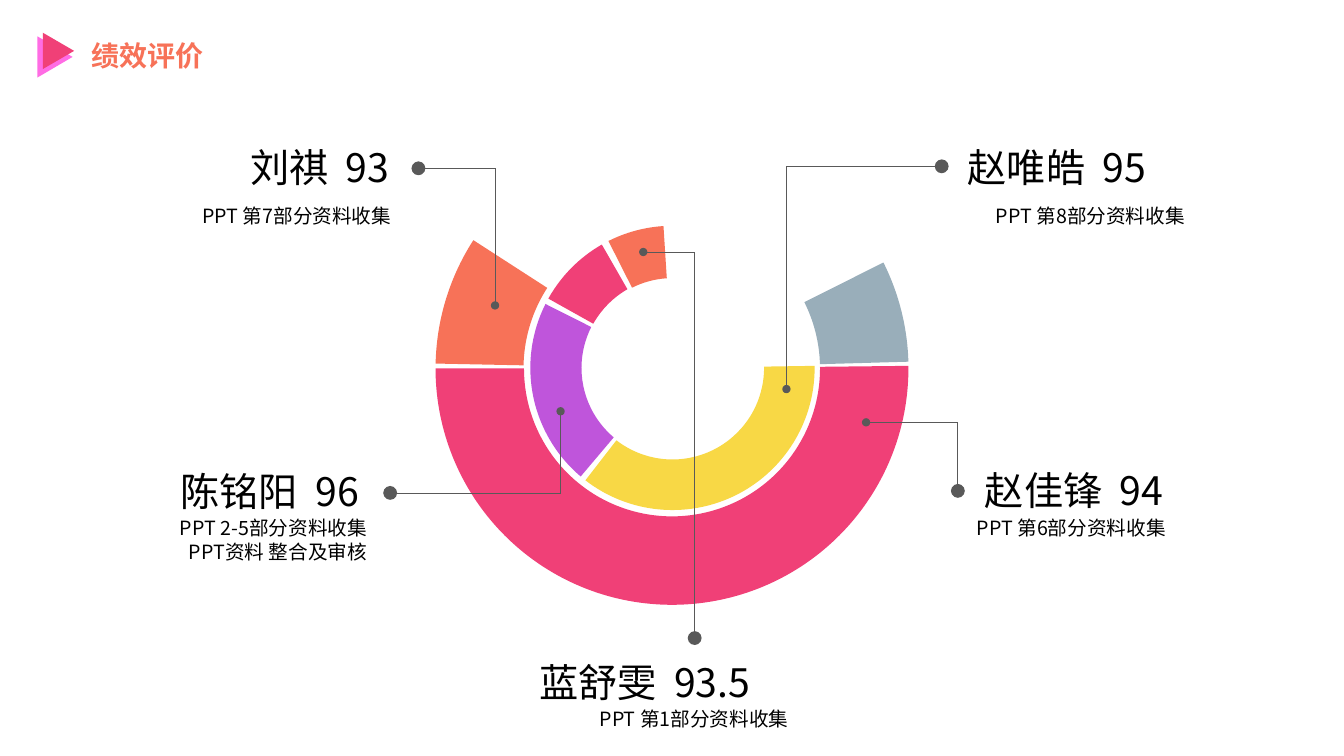
from lxml import etree
from pptx import Presentation
from pptx.dml.color import RGBColor
from pptx.enum.shapes import MSO_CONNECTOR, MSO_SHAPE
from pptx.enum.text import MSO_ANCHOR, MSO_AUTO_SIZE, PP_ALIGN
from pptx.oxml.ns import qn
from pptx.util import Inches, Pt

LEFT, CENTER, RIGHT = PP_ALIGN.LEFT, PP_ALIGN.CENTER, PP_ALIGN.RIGHT
TRIANGLE, BLOCK_ARC = MSO_SHAPE.ISOSCELES_TRIANGLE, MSO_SHAPE.BLOCK_ARC
STRAIGHT = MSO_CONNECTOR.STRAIGHT
TOP = MSO_ANCHOR.TOP
NO_AUTOFIT = MSO_AUTO_SIZE.NONE


class Theme:
    font = "Noto Sans CJK SC"
    pink = RGBColor.from_string("F04077")
    magenta = RGBColor.from_string("FF6CE4")
    purple = RGBColor.from_string("BF55DB")
    yellow = RGBColor.from_string("F8D845")
    orange = RGBColor.from_string("F77258")
    steel = RGBColor.from_string("99AEBA")
    leader = RGBColor.from_string("595959")
    text = RGBColor.from_string("000000")
    title_size, name_size, task_size = Pt(20), Pt(28), Pt(14)
    leader_width = Pt(0.5)


def write(frame, lines, size, color, align, wrap=True, bold=False):
    """Fill a text frame, one paragraph per line, in the slide's font."""
    frame.word_wrap = wrap
    frame.auto_size = NO_AUTOFIT
    frame.vertical_anchor = TOP
    for number, line in enumerate(lines):
        paragraph = frame.paragraphs[0] if number == 0 else frame.add_paragraph()
        paragraph.alignment = align
        run = paragraph.add_run()
        run.text = line
        for key, value in {"name": Theme.font, "size": size, "bold": bold}.items():
            setattr(run.font, key, value)
        run.font.color.rgb = color
        east_asian = etree.SubElement(run.font._element, qn("a:ea"))
        east_asian.set("typeface", Theme.font)


def add_filled(preset, left, top, width, height, color):
    shape = slide.shapes.add_shape(
        preset, Inches(left), Inches(top), Inches(width), Inches(height))
    shape.shadow.inherit = False
    shape.fill.solid()
    shape.fill.fore_color.rgb = color
    shape.line.fill.background()
    return shape


deck = Presentation()
deck.slide_width, deck.slide_height = Inches(13.33), Inches(7.5)
slide = deck.slides.add_slide(deck.slide_layouts[5])

# Heading
title = slide.shapes.title
title.left, title.top = Inches(0.81), Inches(0.33)
title.width, title.height = Inches(3.3), Inches(0.44)
write(title.text_frame, ["绩效评价"], Theme.title_size, Theme.orange, LEFT, bold=True)

for left, top, width, height, color in [
    (0.34, 0.39, 0.41, 0.35, Theme.magenta),
    (0.4, 0.35, 0.36, 0.31, Theme.pink),
]:
    add_filled(TRIANGLE, left, top, width, height, color).rotation = 90

# Two rings: left, top, diameter; then start and end in degrees, thickness, colour
OUTER, INNER = (4.32, 1.31, 4.69), (5.26, 2.24, 2.82)
ring_segments = [
    (OUTER, 359.38, 180, 0.187, Theme.pink),
    (INNER, 130.21, 206.73, 0.18, Theme.purple),
    (INNER, 359.17, 127.75, 0.178, Theme.yellow),
    (INNER, 209.19, 240.21, 0.181, Theme.pink),
    (OUTER, 181.17, 212.84, 0.186, Theme.orange),
    (OUTER, 333.39, 358.37, 0.187, Theme.steel),
    (INNER, 243.23, 266.37, 0.184, Theme.orange),
]
DEGREE = 0.6  # one degree in adjustment units
for (left, top, diameter), start, end, thickness, color in ring_segments:
    segment = add_filled(BLOCK_ARC, left, top, diameter, diameter, color)
    for index, value in enumerate((start * DEGREE, end * DEGREE, thickness)):
        segment.adjustments[index] = value

# Leaders: dot on the ring, corner, dot beside the name
leaders = [
    [(7.8, 3.86), (7.8, 1.65), (9.34, 1.65)],
    [(4.91, 3.03), (4.91, 1.67), (4.15, 1.67)],
    [(5.56, 4.08), (5.56, 4.89), (3.87, 4.89)],
    [(8.59, 4.19), (9.5, 4.19), (9.5, 4.87)],
    [(6.38, 2.5), (6.89, 2.5), (6.89, 6.33)],
]
for ring_dot, corner, name_dot in leaders:
    for begin, end, dot_tag, dot_size in [
        (ring_dot, corner, "a:headEnd", "med"),
        (corner, name_dot, "a:tailEnd", "lg"),
    ]:
        leader = slide.shapes.add_connector(
            STRAIGHT, *(Inches(value) for value in begin + end))
        leader.line.color.rgb = Theme.leader
        leader.line.width = Theme.leader_width
        dot = etree.SubElement(leader.line._get_or_add_ln(), qn(dot_tag))
        for key, value in {"type": "oval", "w": dot_size, "len": dot_size}.items():
            dot.set(key, value)
        etree.SubElement(leader._element.spPr, qn("a:effectLst"))

# Names with scores, and the work each person did
names = [
    ("赵唯皓  95", 9.5, 1.37, 2.07, LEFT),
    ("赵佳锋  94", 9.67, 4.58, 2.07, LEFT),
    ("刘祺  93", 2.28, 1.37, 1.68, RIGHT),
    ("陈铭阳  96", 1.59, 4.59, 2.07, RIGHT),
    ("蓝舒雯  93.5", 5.14, 6.48, 2.4, RIGHT),
]
for name, left, top, width, align in names:
    box = slide.shapes.add_textbox(
        Inches(left), Inches(top), Inches(width), Inches(0.57))
    write(box.text_frame, [name], Theme.name_size, Theme.text, align, wrap=False)

tasks = [
    (["PPT 第8部分资料收集"], 9.59, 1.97, 2.45, 0.34, CENTER),
    (["PPT 第6部分资料收集"], 9.59, 5.07, 2.45, 0.57, LEFT),
    (["PPT 第7部分资料收集"], 0.73, 1.97, 3.25, 0.57, RIGHT),
    (["PPT 2-5部分资料收集", "PPT资料 整合及审核"], 0.43, 5.07, 3.31, 0.57, RIGHT),
    (["PPT 第1部分资料收集"], 5.66, 6.96, 2.45, 0.34, CENTER),
]
for lines, left, top, width, height, align in tasks:
    box = slide.shapes.add_textbox(
        Inches(left), Inches(top), Inches(width), Inches(height))
    write(box.text_frame, lines, Theme.task_size, Theme.text, align)

deck.save("out.pptx")
